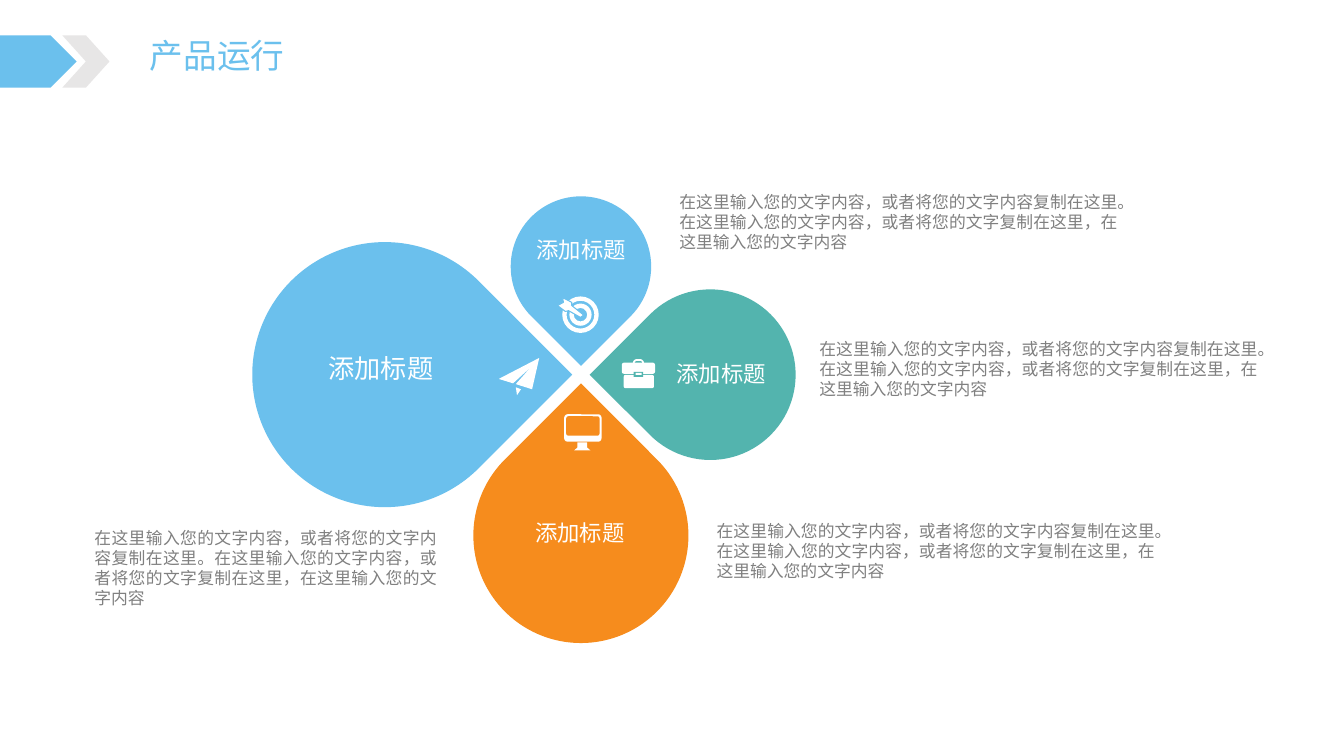
from math import sqrt

from lxml.etree import SubElement
from pptx import Presentation
from pptx.dml.color import RGBColor
from pptx.enum.shapes import MSO_SHAPE
from pptx.enum.text import MSO_ANCHOR, PP_ALIGN
from pptx.oxml.ns import qn
from pptx.util import Cm, Pt

COLORS = {
    "sky": "6BC0ED",
    "orange": "F68C1D",
    "teal": "53B4AE",
    "silver": "E7E6E6",
    "gray": "808080",
    "white": "FFFFFF",
}
FONT = "Noto Sans CJK SC"
LABEL = "添加标题"
CAPTION = (
    "在这里输入您的文字内容，或者将您的文字内容复制在这里。"
    "在这里输入您的文字内容，或者将您的文字复制在这里，在这里输入您的文字内容"
)
HUB = (14.64, 9.44)
HUB_GAP = 0.22


def color(name):
    return RGBColor.from_string(COLORS[name])


def place(shape, box):
    shape.left, shape.top, shape.width, shape.height = map(Cm, box)


def write(shape, text, size=12, ink="white", align=PP_ALIGN.CENTER,
          anchor=MSO_ANCHOR.TOP, wrap=True):
    frame = shape.text_frame
    frame.word_wrap = wrap
    frame.vertical_anchor = anchor
    frame.margin_left = frame.margin_right = Cm(0.25)
    frame.margin_top = frame.margin_bottom = Cm(0.13)
    para = frame.paragraphs[0]
    para.alignment = align
    para.line_spacing = Pt(size * 1.2)
    para.space_before = Pt(0)
    span = para.add_run()
    span.text = text
    span.font.size = Pt(size)
    span.font.color.rgb = color(ink)
    span.font.name = FONT
    east_asian = SubElement(span.font._element, qn("a:ea"))
    east_asian.set("typeface", FONT)


def add_text(page, box, text, **style):
    write(page.shapes.add_textbox(*map(Cm, box)), text, **style)


def paint(shape, fill):
    shape.shadow.inherit = False
    shape.fill.solid()
    shape.fill.fore_color.rgb = color(fill)
    shape.line.fill.background()
    return shape


def add_solid(page, kind, box, fill, adjust=None):
    shape = page.shapes.add_shape(kind, *map(Cm, box))
    if adjust is not None:
        shape.adjustments[0] = adjust
    return paint(shape, fill)


def add_polygon(page, left, top, points, fill="white"):
    """Draw a closed outline whose points are offsets from left, top."""
    corners = [(Cm(left + x), Cm(top + y)) for x, y in points]
    builder = page.shapes.build_freeform(*corners[0], scale=1.0)
    builder.add_line_segments(corners[1:], close=True)
    return paint(builder.convert_to_shape(), fill)


def add_header(page, box, text):
    left, top, height = box
    add_solid(page, MSO_SHAPE.PENTAGON, (left, top, 1.93, height), "sky", 0.5)
    add_solid(page, MSO_SHAPE.CHEVRON, (left + 1.57, top, 1.19, height), "silver", 0.5)
    title = page.shapes.title
    place(title, (left + 3.53, top - 0.13, 3.94, 1.27))
    write(title, text, size=24, ink="sky", align=PP_ALIGN.LEFT,
          anchor=MSO_ANCHOR.MIDDLE, wrap=False)


def add_petal(page, direction, radius, fill):
    """Draw a teardrop lying in the direction (x, y) with its tip at the hub."""
    reach = radius * sqrt(2) + HUB_GAP
    center_x, center_y = (h + d * reach for h, d in zip(HUB, direction))
    box = (center_x - radius, center_y - radius, 2 * radius, 2 * radius)
    petal = add_solid(page, MSO_SHAPE.TEAR, box, fill, 1)
    petal.rotation = {(-1, 0): 45, (0, -1): 135, (1, 0): 225, (0, 1): 315}[direction]


def add_plane(page, left, top, fill):
    add_polygon(page, left, top, [(1.02, 0), (0, 0.53), (0.36, 0.64),
                                  (0.81, 0.23), (0.43, 0.66), (0.84, 0.79)])
    add_polygon(page, left, top, [(0.43, 0.74), (0.56, 0.79), (0.46, 0.94)])


def add_target(page, left, top, fill):
    for radius in (0.46, 0.28):
        box = (left + 0.58 - radius, top + 0.51 - radius, 2 * radius, 2 * radius)
        add_solid(page, MSO_SHAPE.DONUT, box, "white", 0.11 / (2 * radius))
    dart = add_polygon(page, left, top, [
        (0, 0.28), (0.15, 0.2), (0.13, 0.08), (0.36, 0.2), (0.36, 0.28),
        (0.66, 0.52), (0.58, 0.58), (0.28, 0.41), (0.2, 0.43)])
    dart.line.color.rgb = color(fill)
    dart.line.width = Pt(0.75)


def add_monitor(page, left, top, fill):
    rounded = MSO_SHAPE.ROUNDED_RECTANGLE
    add_solid(page, rounded, (left, top, 0.94, 0.69), "white", 0.12)
    add_solid(page, rounded, (left + 0.05, top + 0.05, 0.84, 0.49), fill, 0.12)
    add_polygon(page, left, top, [(0.33, 0.71), (0.58, 0.71), (0.58, 0.84),
                                  (0.66, 0.91), (0.25, 0.91), (0.33, 0.84)])


def add_briefcase(page, left, top, fill):
    rounded, square = MSO_SHAPE.ROUNDED_RECTANGLE, MSO_SHAPE.RECTANGLE
    handle = add_solid(page, rounded, (left + 0.3, top + 0.03, 0.24, 0.2), fill, 0.4)
    handle.line.color.rgb = color("white")
    handle.line.width = Pt(1.25)
    for kind, (x, y, width, height), paint_name, adjust in [
        (rounded, (0, 0.1, 0.84, 0.28), "white", 0.2),
        (rounded, (0.05, 0.41, 0.76, 0.33), "white", 0.12),
        (square, (0.3, 0.33, 0.24, 0.13), fill, None),
        (square, (0.35, 0.36, 0.15, 0.05), "white", None),
    ]:
        add_solid(page, kind, (left + x, top + y, width, height), paint_name, adjust)


# direction, radius, fill, icon, icon corner, label box, label size, caption box
PETALS = [
    ((-1, 0), 3.34, "sky", add_plane, (12.57, 9.02),
     (6.83, 8.74, 5.54, 1.04), 18.7, (2.13, 13.16, 9.14, 2.31)),
    ((0, 1), 2.71, "orange", add_monitor, (14.22, 10.44),
     (12.57, 12.95, 4.09, 0.94), 16, (17.81, 12.98, 11.56, 1.8)),
    ((0, -1), 1.77, "sky", add_target, (14.05, 7.42),
     (12.93, 5.82, 3.43, 0.94), 16, (16.87, 4.7, 11.56, 1.8)),
    ((1, 0), 2.15, "teal", add_briefcase, (15.67, 9.04),
     (16.46, 8.94, 3.43, 0.94), 16, (20.4, 8.41, 11.56, 1.8)),
]


def add_flower(page):
    for direction, radius, fill, add_icon, corner, label_box, size, caption_box in PETALS:
        add_petal(page, direction, radius, fill)
        add_icon(page, *corner, fill)
        add_text(page, label_box, LABEL, size=size)
        add_text(page, caption_box, CAPTION, ink="gray", align=PP_ALIGN.JUSTIFY)


def main():
    deck = Presentation()
    deck.slide_width, deck.slide_height = Cm(33.87), Cm(19.05)
    page = deck.slides.add_slide(deck.slide_layouts[5])
    add_header(page, (0, 0.89, 1.32), "产品运行")
    add_flower(page)
    deck.save("out.pptx")


if __name__ == "__main__":
    main()
